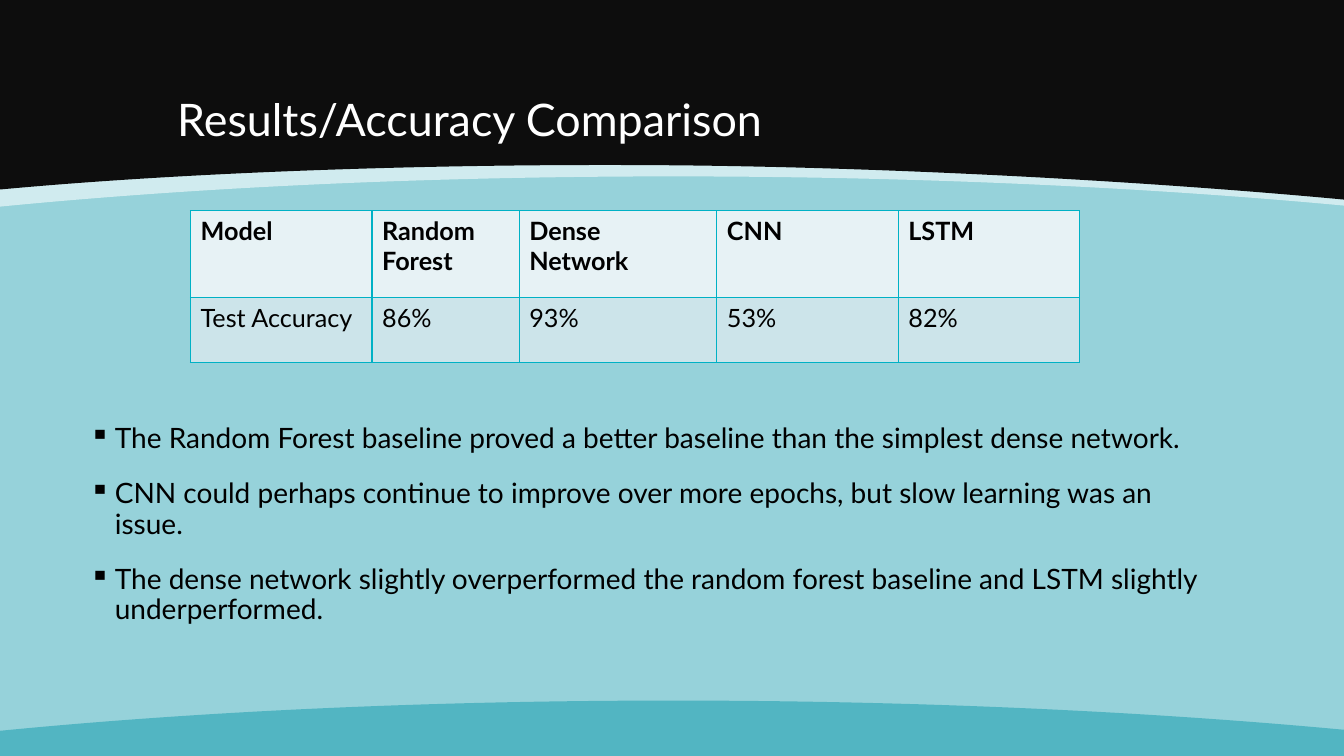
from dataclasses import dataclass

from lxml import etree
from pptx import Presentation
from pptx import util as u
from pptx.dml import color as dml
from pptx.enum import text as t
from pptx.oxml import ns

FONT = "Lato"

Point = tuple[float, float]


@dataclass
class Band:
    """A filled area: straight corners, then one smooth edge of cubic curves."""
    corners: list[Point]
    curves: list[tuple[Point, Point, Point]]
    fill: str
    opacity: int = 100


@dataclass
class TableRow:
    cells: list[list[str]]
    height: float
    fill: str
    bold: bool


BANDS = [
    Band([(0, 0), (13.33, 0), (13.33, 2.04)],
         [((11.4, 1.86), (9.12, 1.75), (6.68, 1.75)),
          ((4.23, 1.75), (1.94, 1.86), (0, 2.05))], "EAF6F8", 70),
    Band([(0, 0), (13.33, 0), (13.33, 1.98)],
         [((11.4, 1.8), (8.89, 1.66), (6.68, 1.64)),
          ((4.45, 1.62), (1.94, 1.7), (0, 1.88))], "0D0D0D"),
    Band([(13.33, 7.5), (0, 7.5), (0, 7.25)],
         [((1.94, 7.06), (4.23, 6.95), (6.68, 6.95)),
          ((9.12, 6.95), (11.4, 7.06), (13.33, 7.24))], "52B5C2"),
]

COLUMN_WIDTHS = [1.8, 1.46, 1.96, 1.8, 1.8]
ROWS = [
    TableRow([["Model"], ["Random Forest"], ["Dense", "Network"], ["CNN"], ["LSTM"]],
             0.86, "E7F2F5", True),
    TableRow([["Test Accuracy"], ["86%"], ["93%"], ["53%"], ["82%"]],
             0.65, "CCE4EA", False),
]

FINDINGS = [
    "The Random Forest baseline proved a better baseline than the simplest dense network.",
    "CNN could perhaps continue to improve over more epochs, but slow learning was an issue.",
    "The dense network slightly overperformed the random forest baseline "
    "and LSTM slightly underperformed.",
]


def rgb(value: str) -> dml.RGBColor:
    return dml.RGBColor.from_string(value)


def add_child(parent, tag: str, **attributes: str):
    return etree.SubElement(parent, ns.qn(tag), attributes)


def paint(fill, value: str) -> None:
    fill.solid()
    fill.fore_color.rgb = rgb(value)


def bend_edges(shape, straight_edges: int) -> None:
    """Turn every three line segments after the straight edges into one curve."""
    segments = list(shape._element.iter(ns.qn("a:lnTo")))[straight_edges:]
    for start in range(0, len(segments) - 2, 3):
        group = segments[start:start + 3]
        curve = etree.Element(ns.qn("a:cubicBezTo"))
        group[0].addprevious(curve)
        for segment in group:
            curve.append(segment[0])
            segment.getparent().remove(segment)


def draw_band(page, band: Band) -> None:
    outline = band.corners + [point for curve in band.curves for point in curve]
    start, *rest = [(u.Inches(x), u.Inches(y)) for x, y in outline]
    builder = page.shapes.build_freeform(*start)
    builder.add_line_segments(rest, close=True)
    shape = builder.convert_to_shape()
    bend_edges(shape, len(band.corners) - 1)
    shape.shadow.inherit = False
    shape.line.fill.background()
    paint(shape.fill, band.fill)
    if band.opacity < 100:
        tint = shape._element.spPr.find(".//" + ns.qn("a:srgbClr"))
        add_child(tint, "a:alpha", val=str(band.opacity * 1000))


def add_span(para, words: str, size: int, ink: str, bold: bool = False) -> None:
    span = para.add_run()
    span.text = words
    span.font.name = FONT
    span.font.size = u.Pt(size)
    span.font.bold = bold
    span.font.color.rgb = rgb(ink)


def add_frame(page, left: float, top: float, width: float, height: float, anchor):
    box = page.shapes.add_textbox(*map(u.Inches, (left, top, width, height)))
    box.text_frame.word_wrap = True
    box.text_frame.vertical_anchor = anchor
    return box.text_frame


def next_para(frame, index: int):
    return frame.add_paragraph() if index else frame.paragraphs[0]


def add_borders(cell, value: str) -> None:
    properties = cell._tc.get_or_add_tcPr()
    for side in "LRTB":
        line = add_child(properties, f"a:ln{side}", w=str(u.Pt(1)))
        add_child(add_child(line, "a:solidFill"), "a:srgbClr", val=value)


def draw_table(page) -> None:
    frame = page.shapes.add_table(
        len(ROWS), len(COLUMN_WIDTHS), u.Inches(1.89), u.Inches(2.09),
        u.Inches(sum(COLUMN_WIDTHS)), u.Inches(sum(row.height for row in ROWS)))
    table = frame.table
    table.horz_banding = False
    for column, width in zip(table.columns, COLUMN_WIDTHS):
        column.width = u.Inches(width)
    for r, row in enumerate(ROWS):
        table.rows[r].height = u.Inches(row.height)
        for c, lines in enumerate(row.cells):
            cell = table.cell(r, c)
            add_borders(cell, "00B1C5")
            paint(cell.fill, row.fill)
            for i, words in enumerate(lines):
                add_span(next_para(cell.text_frame, i), words, 18, "000000", row.bold)


def draw_findings(page) -> None:
    frame = add_frame(page, 0.79, 4.16, 11.25, 2.48, t.MSO_ANCHOR.TOP)
    for i, words in enumerate(FINDINGS):
        para = next_para(frame, i)
        properties = para._p.get_or_add_pPr()
        properties.set("marL", str(u.Inches(0.25)))
        properties.set("indent", str(-u.Inches(0.25)))
        add_child(properties, "a:buFont", typeface="OpenSymbol")
        add_child(properties, "a:buChar", char="▪")
        para.line_spacing = 0.9
        if i:
            para.space_before = u.Pt(18)
        add_span(para, words, 20, "000000")


def main() -> None:
    deck = Presentation()
    deck.slide_width, deck.slide_height = u.Inches(13.33), u.Inches(7.5)
    page = deck.slides.add_slide(deck.slide_layouts[6])

    # Background and curved bands
    paint(page.background.fill, "96D2DA")
    for band in BANDS:
        draw_band(page, band)

    # Title
    title = add_frame(page, 1.66, 0.3, 10, 1.2, t.MSO_ANCHOR.BOTTOM).paragraphs[0]
    title.line_spacing = 0.9
    add_span(title, "Results/Accuracy Comparison", 32, "FFFFFF")

    # Findings and accuracy table
    draw_findings(page)
    draw_table(page)

    deck.save("out.pptx")


if __name__ == "__main__":
    main()
